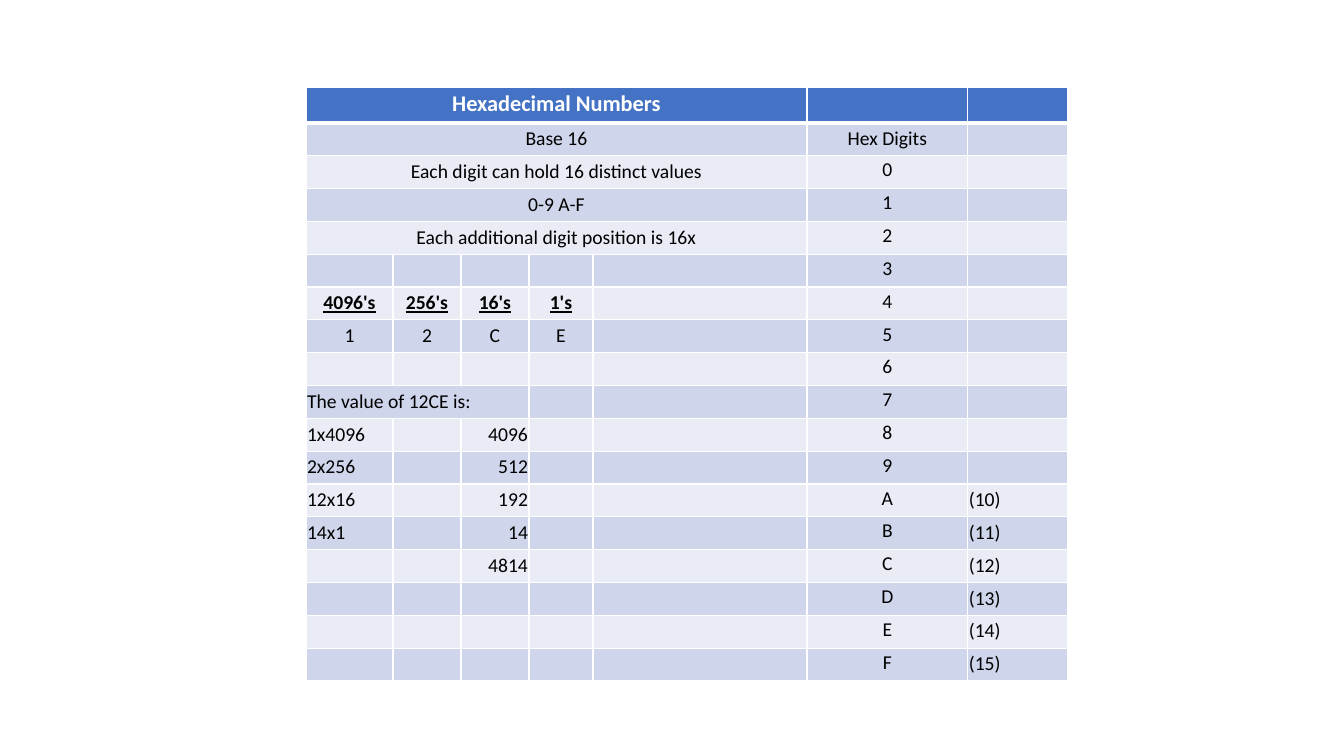
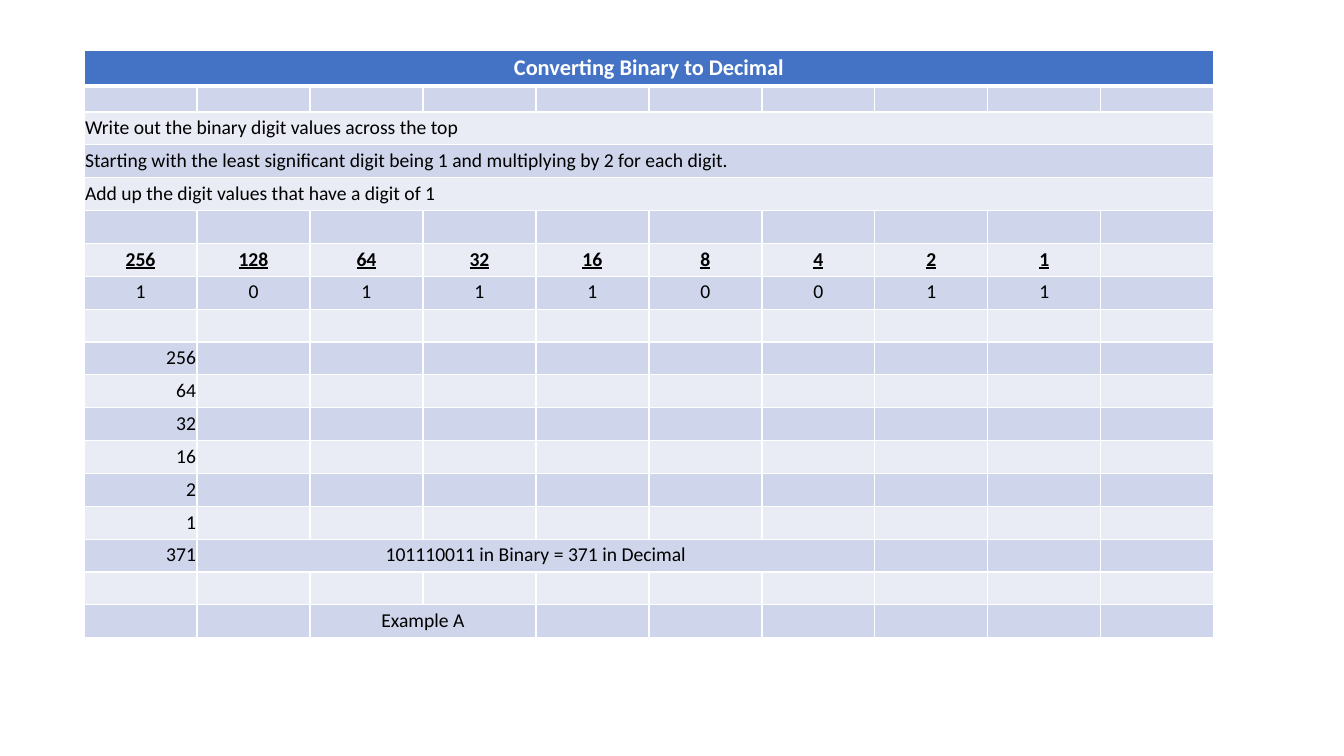
from dataclasses import dataclass
from lxml.etree import SubElement
from pptx import Presentation
from pptx.dml.color import RGBColor
from pptx.enum.text import MSO_ANCHOR, PP_ALIGN
from pptx.oxml.ns import qn
from pptx.util import Pt

PIXEL = 914400 / 100.8
LEFT, CENTER, RIGHT = PP_ALIGN.LEFT, PP_ALIGN.CENTER, PP_ALIGN.RIGHT


def px(length):
    return round(length * PIXEL)


@dataclass(frozen=True)
class Theme:
    font: str = "Calibri"
    header: str = "4472C4"
    bands: tuple = ("E9EBF5", "CFD5EA")
    text: str = "000000"
    light: str = "FFFFFF"
    header_size: int = 16
    body_size: int = 14
    empty_size: int = 10
    rule: int = 1
    header_rule: int = 3
    inset: int = 1
    bottom_inset: int = 5


@dataclass(frozen=True)
class Box:
    left: int
    top: int
    width: int
    height: int


@dataclass(frozen=True)
class Entry:
    text: str
    align: PP_ALIGN = LEFT
    span: int = 1
    heading: bool = False
    anchor: MSO_ANCHOR = MSO_ANCHOR.BOTTOM


THEME = Theme()
ROW_COUNT = 18
HEADER_HEIGHT = 36


def draw_borders(cell, row):
    properties = cell._tc.get_or_add_tcPr()
    heavy_side = {0: "lnB", 1: "lnT"}.get(row)
    for side in ("lnL", "lnR", "lnT", "lnB"):
        width = THEME.header_rule if side == heavy_side else THEME.rule
        line = SubElement(properties, qn(f"a:{side}"), w=str(Pt(width)))
        fill = SubElement(line, qn("a:solidFill"))
        SubElement(fill, qn("a:srgbClr"), val=THEME.light)


def style_cell(cell, row):
    draw_borders(cell, row)
    cell.fill.solid()
    color = THEME.bands[row % 2] if row else THEME.header
    cell.fill.fore_color.rgb = RGBColor.from_string(color)
    cell.margin_left = cell.margin_right = cell.margin_top = px(THEME.inset)
    cell.margin_bottom = px(THEME.bottom_inset)


def write_entry(cell, entry, row):
    cell.vertical_anchor = entry.anchor
    para = cell.text_frame.paragraphs[0]
    para.text = entry.text
    para.alignment = entry.align
    font = para.font
    font.name = THEME.font
    font.size = Pt(THEME.body_size if row else THEME.header_size)
    font.bold = entry.heading or row == 0
    font.underline = entry.heading
    font.color.rgb = RGBColor.from_string(THEME.text if row else THEME.light)


def leave_empty(cell):
    para = cell.text_frame.paragraphs[0]
    SubElement(para._p, qn("a:endParaRPr"), sz=str(THEME.empty_size * 100))


def add_grid(page, box, column_widths, entries, fixed_heights):
    frame = page.shapes.add_table(ROW_COUNT, len(column_widths), px(box.left), px(box.top),
                                  px(box.width), px(box.height))
    grid = frame.table
    for column, width in zip(grid.columns, column_widths):
        column.width = px(width)
    shared_height = (box.height - sum(fixed_heights.values())) / (ROW_COUNT - len(fixed_heights))
    for row, line in enumerate(grid.rows):
        line.height = px(fixed_heights.get(row, shared_height))
        for column, cell in enumerate(line.cells):
            style_cell(cell, row)
            entry = entries.get((row, column))
            if entry:
                write_entry(cell, entry, row)
            else:
                leave_empty(cell)
    for (row, column), entry in entries.items():
        if entry.span > 1:
            grid.cell(row, column).merge(grid.cell(row, column + entry.span - 1))


def add_hexadecimal_page(deck, box):
    intro = ("Hexadecimal Numbers", "Base 16", "Each digit can hold 16 distinct values",
             "0-9 A-F", "Each additional digit position is 16x")
    entries = {(row, 0): Entry(text, CENTER, span=5) for row, text in enumerate(intro)}
    entries[1, 5] = Entry("Hex Digits", CENTER)
    entries[9, 0] = Entry("The value of 12CE is:", span=3)
    for value, digit in enumerate("0123456789ABCDEF"):
        entries[value + 2, 5] = Entry(digit, CENTER, anchor=MSO_ANCHOR.MIDDLE)
        if value > 9:
            entries[value + 2, 6] = Entry(f"({value})")
    number = "12CE"
    for column, digit in enumerate(number):
        weight = 16 ** (len(number) - 1 - column)
        value = int(digit, 16)
        entries[6, column] = Entry(f"{weight}'s", CENTER, heading=True)
        entries[7, column] = Entry(digit, CENTER)
        entries[10 + column, 0] = Entry(f"{value}x{weight}")
        entries[10 + column, 2] = Entry(str(value * weight), RIGHT)
    entries[14, 2] = Entry(str(int(number, 16)), RIGHT)
    page = deck.slides.add_slide(deck.slide_layouts[6])
    add_grid(page, box, (87, 68, 68, 64, 214, 161, 100), entries, {0: HEADER_HEIGHT})


def add_binary_page(deck, box):
    column_count = 10
    steps = ("Write out the binary digit values across the top",
             "Starting with the least significant digit being 1 and multiplying by 2 for each digit.",
             "Add up the digit values that have a digit of 1")
    entries = {(row, 0): Entry(text, span=column_count) for row, text in enumerate(steps, 2)}
    entries[0, 0] = Entry("Converting Binary to Decimal", CENTER, span=column_count)
    number = "101110011"
    weights = [2 ** power for power in reversed(range(len(number)))]
    for column, (weight, digit) in enumerate(zip(weights, number)):
        entries[6, column] = Entry(str(weight), CENTER, heading=True)
        entries[7, column] = Entry(digit, CENTER)
    addends = [weight for weight, digit in zip(weights, number) if digit == "1"]
    total = sum(addends)
    for row, value in enumerate(addends + [total], 9):
        entries[row, 0] = Entry(str(value), RIGHT)
    entries[15, 1] = Entry(f"{number} in Binary = {total} in Decimal", CENTER, span=6)
    entries[17, 2] = Entry("Example A", CENTER, span=2)
    page = deck.slides.add_slide(deck.slide_layouts[6])
    add_grid(page, box, [box.width / column_count] * column_count, entries,
             {0: HEADER_HEIGHT, 1: 26})


deck = Presentation()
deck.slide_width, deck.slide_height = px(1344), px(756)
add_hexadecimal_page(deck, Box(306, 87, 762, 594))
add_binary_page(deck, Box(84, 50, 1130, 588))
deck.save("out.pptx")
